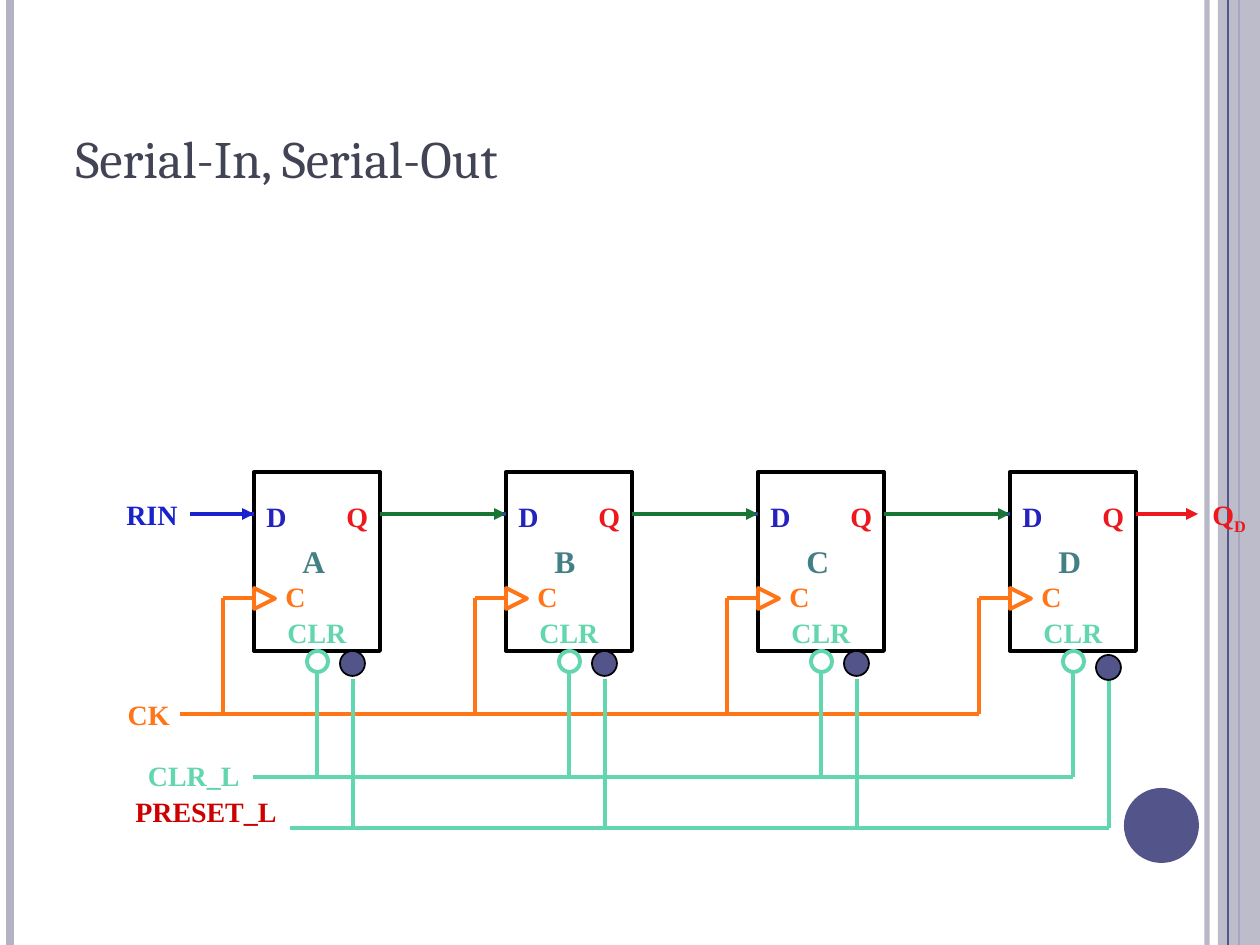
from dataclasses import dataclass

from lxml import etree
from pptx import Presentation
from pptx.dml.color import RGBColor
from pptx.enum.shapes import MSO_CONNECTOR, MSO_SHAPE
from pptx.enum.text import MSO_ANCHOR, MSO_AUTO_SIZE, PP_ALIGN
from pptx.oxml.ns import qn
from pptx.util import Pt

STRAIGHT = MSO_CONNECTOR.STRAIGHT
RECT, OVAL = MSO_SHAPE.RECTANGLE, MSO_SHAPE.OVAL
TRIANGLE, NODE = MSO_SHAPE.ISOSCELES_TRIANGLE, MSO_SHAPE.FLOWCHART_CONNECTOR
LEFT, CENTER, RIGHT = PP_ALIGN.LEFT, PP_ALIGN.CENTER, PP_ALIGN.RIGHT
BOTTOM, NO_AUTOFIT = MSO_ANCHOR.BOTTOM, MSO_AUTO_SIZE.NONE

PX = 914400 / 126
SLIDE_W, SLIDE_H = 1260, 945
STAGES = "ABCD"
FIRST_X, PITCH = 254, 252
BOX_W, BOX_TOP, BOX_H = 126, 472, 179
DATA_Y, CLOCK_Y = 514, 598
LABEL_H = 47


@dataclass(frozen=True)
class Theme:
    title_font: str = "Cambria"
    label_font: str = "Times New Roman"
    title_size: int = 30
    label_size: int = 16
    name_size: int = 18
    wire: float = 2.25
    title: str = "424456"
    frame: str = "B3B3C4"
    accent: str = "53548A"
    black: str = "000000"
    white: str = "FFFFFF"
    d_pin: str = "2522BE"
    serial_in: str = "1822CD"
    output: str = "ED181E"
    clock: str = "FF7518"
    clear: str = "62D6AC"
    preset: str = "CC0000"
    name: str = "438086"
    link: str = "187534"


T = Theme()


def px(n):
    return round(n * PX)


def rgb(color):
    return RGBColor.from_string(color)


def set_opacity(solid_fill, percent):
    etree.SubElement(solid_fill[0], qn("a:alpha"), val=str(percent * 1000))


def add_line(shapes, x1, y1, x2, y2, color, width=T.wire, arrow=False):
    """Draw a straight line; an arrow has its head at the first point."""
    line = shapes.add_connector(STRAIGHT, px(x1), px(y1), px(x2), px(y2))
    line.line.color.rgb = rgb(color)
    line.line.width = Pt(width)
    etree.SubElement(line.element.spPr, qn("a:effectLst"))
    if arrow:
        etree.SubElement(line.line._get_or_add_ln(), qn("a:headEnd"), type="triangle")
    return line


def add_shape(shapes, kind, x, y, w, h, fill=None, line=None, width=T.wire):
    sp = shapes.add_shape(kind, px(x), px(y), px(w), px(h))
    sp.shadow.inherit = False
    if fill:
        sp.fill.solid()
        sp.fill.fore_color.rgb = rgb(fill)
    else:
        sp.fill.background()
    if line:
        sp.line.color.rgb = rgb(line)
        sp.line.width = Pt(width)
    else:
        sp.line.fill.background()
    return sp


def style_run(r, font, size, color, bold):
    r.font.name = font
    r.font.size = Pt(size)
    r.font.bold = bold
    r.font.color.rgb = rgb(color)


def add_label(shapes, text, x, y, w, color, align=LEFT, size=T.label_size,
              h=LABEL_H, subscript=None):
    """Add a one-line label; the inset opposite its aligned side is left free."""
    tf = shapes.add_textbox(px(x), px(y), px(w), px(h)).text_frame
    tf.word_wrap = True
    tf.auto_size = NO_AUTOFIT
    if align == LEFT:
        tf.margin_right = 0
    elif align == RIGHT:
        tf.margin_left = 0
    p = tf.paragraphs[0]
    p.text = text
    p.alignment = align
    if subscript:
        r = p.add_run()
        r.text = subscript
        r._r.get_or_add_rPr().set("baseline", "-25000")
    for r in p.runs:
        style_run(r, T.label_font, size, color, True)


def add_frame(shapes):
    """Draw the stripes and the disc along the slide edges."""
    def stripe(x, color, width):
        return add_line(shapes, x, 0, x, SLIDE_H, color, width)

    pale = stripe(1207, T.frame, 3)
    set_opacity(pale.line._get_or_add_ln().find(qn("a:solidFill")), 93)
    stripe(10, T.frame, 4.5)
    stripe(1239, T.accent, 1.5)
    band = add_shape(shapes, RECT, 1218, 0, 42, SLIDE_H, T.frame)
    set_opacity(band.element.spPr.find(qn("a:solidFill")), 87)
    stripe(1228, T.accent, 0.75)
    add_shape(shapes, OVAL, 1124, 788, 75, 75, T.accent)


def set_title(s, text):
    title = s.shapes.title
    title.left, title.top, title.width, title.height = map(px, (63, 38, 1029, 157))
    tf = title.text_frame
    tf.text = text
    tf.vertical_anchor = BOTTOM
    p = tf.paragraphs[0]
    p.alignment = LEFT
    style_run(p.runs[0], T.title_font, T.title_size, T.title, False)


def add_flip_flop(shapes, x, name):
    right, middle, bottom = x + BOX_W, x + BOX_W // 2, BOX_TOP + BOX_H
    add_shape(shapes, RECT, x, BOX_TOP, BOX_W, BOX_H, line=T.black)
    add_label(shapes, "D", x, 493, 45, T.d_pin)
    add_label(shapes, "Q", x + 80, 493, 47, T.output)
    add_label(shapes, "C", x + 19, 573, 45, T.clock)
    add_label(shapes, "CLR", x, 609, BOX_W, T.clear, CENTER)
    add_line(shapes, middle, bottom, middle, 683, T.clear)
    add_shape(shapes, OVAL, middle - 10, bottom, 21, 21, T.white, T.clear)
    add_line(shapes, right + 32, DATA_Y, right, DATA_Y, T.output)
    add_line(shapes, x, DATA_Y, x - 31, DATA_Y, T.d_pin)
    add_line(shapes, x, CLOCK_Y, x - 31, CLOCK_Y, T.clock)
    wedge = add_shape(shapes, TRIANGLE, x, 588, 21, 21, line=T.clock)
    wedge.rotation = 90
    add_label(shapes, name, x + 36, 536, 48, T.name, size=T.name_size, h=50)


def add_bus(shapes, taps, top, y, start, color):
    """Draw a horizontal bus with a vertical tap for every stage."""
    for x in taps:
        add_line(shapes, x, top, x, y, color)
    add_line(shapes, taps[-1], y, start, y, color)


def add_data_path(shapes, xs):
    add_line(shapes, xs[0], DATA_Y, 190, DATA_Y, T.serial_in, arrow=True)
    add_label(shapes, "RIN", 115, 491, 75, T.serial_in, RIGHT)
    for x, following in zip(xs, xs[1:]):
        add_line(shapes, following, DATA_Y, x + BOX_W, DATA_Y, T.link, arrow=True)
    add_line(shapes, 1198, DATA_Y, xs[-1] + BOX_W, DATA_Y, T.output, arrow=True)
    add_label(shapes, "Q", 1200, 491, 58, T.output, h=52, subscript="D")


def main():
    prs = Presentation()
    prs.slide_width, prs.slide_height = px(SLIDE_W), px(SLIDE_H)
    s = prs.slides.add_slide(prs.slide_layouts[5])
    add_frame(s.shapes)
    set_title(s, "Serial-In, Serial-Out")

    xs = [FIRST_X + PITCH * i for i in range(len(STAGES))]
    for x, name in zip(xs, STAGES):
        add_flip_flop(s.shapes.add_group_shape().shapes, x, name)

    buses = (  # label, label x, y, width, colour; tap offset, top, bus y, start, colour
        ("CK", 115, 691, 67, T.clock, -31, CLOCK_Y, 714, 180, T.clock),
        ("CLR_L", 136, 752, 116, T.clear, 63, 683, 777, 253, T.clear),
        ("PRESET_L", 123, 788, 166, T.preset, 99, 679, 828, 290, T.clear),
    )
    for text, lx, ly, w, label_color, offset, top, y, start, color in buses:
        group = s.shapes.add_group_shape().shapes
        add_bus(group, [x + offset for x in xs], top, y, start, color)
        add_label(group, text, lx, ly, w, label_color, RIGHT)
    add_data_path(s.shapes.add_group_shape().shapes, xs)

    for x in xs:
        y = 655 if x == xs[-1] else 651
        add_shape(s.shapes, NODE, x + 86, y, 25, 25, T.accent, T.black, 1)
    prs.save("out.pptx")


if __name__ == "__main__":
    main()
